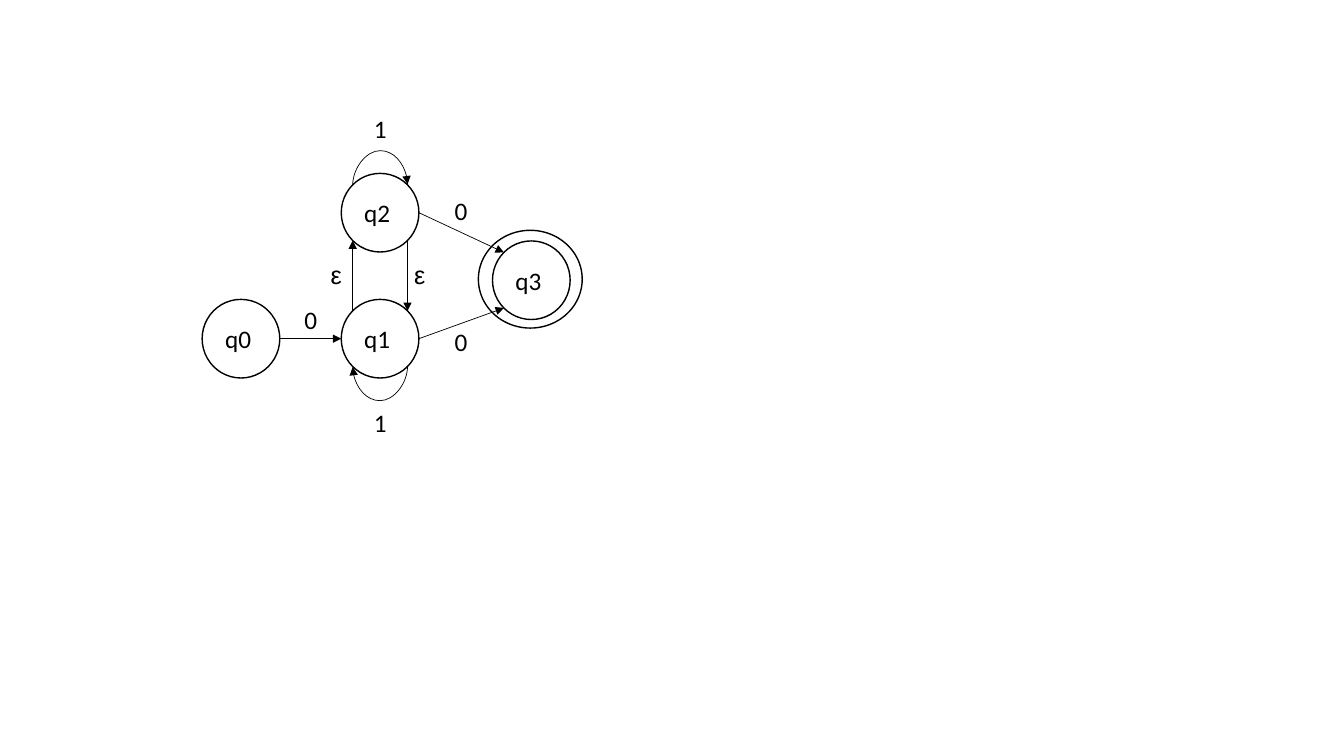
from math import sqrt
from lxml.etree import SubElement
from pptx import Presentation
from pptx.dml.color import RGBColor
from pptx.enum.shapes import MSO_CONNECTOR as LINK, MSO_SHAPE as SHAPE
from pptx.enum.text import MSO_ANCHOR, MSO_AUTO_SIZE, PP_ALIGN
from pptx.oxml.ns import qn
from pptx.util import Inches, Pt

INK = "000000"
STATE_W, STATE_H = 0.77, 0.78
RING_W, RING_H = 1.03, 0.97
LOOP_RISE, LOOP_THICK = 0.35, 0.01

# Automaton: state centres, accepting ring, transitions, loops, symbols
STATES = {"q0": (2.39, 3.36), "q1": (3.77, 3.36),
          "q2": (3.77, 2.11), "q3": (5.27, 2.78)}
RING_CENTRE = (5.26, 2.77)
TRANSITIONS = [("q0", "right", "q1", "left"),
               ("q1", "right", "q3", "lower left"),
               ("q2", "right", "q3", "upper left"),
               ("q1", "upper left", "q2", "lower left"),
               ("q2", "lower right", "q1", "upper right")]
LOOPS = [("q2", "upper left", "upper right"),
         ("q1", "lower right", "lower left")]
SYMBOLS = [("0", 2.92, 2.97), ("0", 4.41, 1.89), ("0", 4.41, 3.19),
           ("1", 3.61, 1.08), ("1", 3.61, 3.99),
           ("ε", 3.18, 2.52), ("ε", 4.01, 2.52)]

# Connection sites of an ellipse: index and direction from the centre
D = sqrt(0.5)
SITES = {"upper left": (1, -D, -D), "left": (2, -1, 0), "lower left": (3, -D, D),
         "lower right": (5, D, D), "right": (6, 1, 0), "upper right": (7, D, -D)}

deck = Presentation()
deck.slide_width, deck.slide_height = Inches(13.33), Inches(7.5)
slide = deck.slides.add_slide(deck.slide_layouts[6])


def colour(hex_code):
    return RGBColor.from_string(hex_code)


def style_text(frame, text, font_name):
    frame.text = text
    paragraph = frame.paragraphs[0]
    font = paragraph.font
    font.name, font.size, font.color.rgb = font_name, Pt(18), colour(INK)
    return paragraph


def add_circle(centre, width, height):
    x, y = centre
    circle = slide.shapes.add_shape(SHAPE.OVAL, Inches(x - width / 2), Inches(y - height / 2),
                                    Inches(width), Inches(height))
    circle.shadow.inherit = False
    circle.fill.background()
    circle.line.color.rgb, circle.line.width = colour(INK), Pt(1)
    return circle


def site_point(state, site):
    x, y = STATES[state]
    _, dx, dy = SITES[site]
    return x + dx * STATE_W / 2, y + dy * STATE_H / 2


def add_arrow(kind, start, end, glue):
    arrow = slide.shapes.add_connector(kind, *map(Inches, start + end))
    arrow.line.color.rgb, arrow.line.width = colour(INK), Pt(0.5)
    SubElement(arrow.line._get_or_add_ln(), qn("a:tailEnd"), type="triangle")
    properties = arrow._element.spPr
    SubElement(properties, qn("a:effectLst"))
    ends = arrow._element.nvCxnSpPr.cNvCxnSpPr
    for tag, (state, site) in zip(("a:stCxn", "a:endCxn"), glue):
        SubElement(ends, qn(tag), id=str(circles[state].shape_id), idx=str(SITES[site][0]))
    return properties


# States
add_circle(RING_CENTRE, RING_W, RING_H)
circles = {}
for state, centre in STATES.items():
    circles[state] = add_circle(centre, STATE_W, STATE_H)
    frame = circles[state].text_frame
    frame.vertical_anchor = MSO_ANCHOR.MIDDLE
    style_text(frame, state + " ", "Calibri").alignment = PP_ALIGN.CENTER

# Straight transitions
for source, leaving, target, entering in TRANSITIONS:
    add_arrow(LINK.STRAIGHT, site_point(source, leaving), site_point(target, entering),
              [(source, leaving), (target, entering)])

# Loops: a thin curve turned a quarter, bulging away from its state
for state, leaving, entering in LOOPS:
    (x1, y), (x2, _) = site_point(state, leaving), site_point(state, entering)
    middle, turn = (x1 + x2) / 2, 1 if x1 > x2 else -1
    dx, dy = turn * LOOP_THICK / 2, turn * abs(x2 - x1) / 2
    curve = add_arrow(LINK.CURVE, (middle - dx, y - dy), (middle + dx, y + dy),
                      [(state, leaving), (state, entering)])
    curve.xfrm.set("rot", str(90 * 60000))
    bulge = round(LOOP_RISE / LOOP_THICK * 100000)
    SubElement(curve.prstGeom.get_or_add_avLst(), qn("a:gd"), name="adj1", fmla=f"val {bulge}")

# Transition symbols
for symbol, left, top in SYMBOLS:
    is_epsilon = symbol == "ε"
    box = slide.shapes.add_textbox(Inches(left), Inches(top),
                                   Inches(0.31 if is_epsilon else 0.33), Inches(0.4))
    box.text_frame.word_wrap = False
    box.text_frame.auto_size = MSO_AUTO_SIZE.SHAPE_TO_FIT_TEXT
    style_text(box.text_frame, symbol, "Arial" if is_epsilon else "Calibri")

deck.save("out.pptx")
